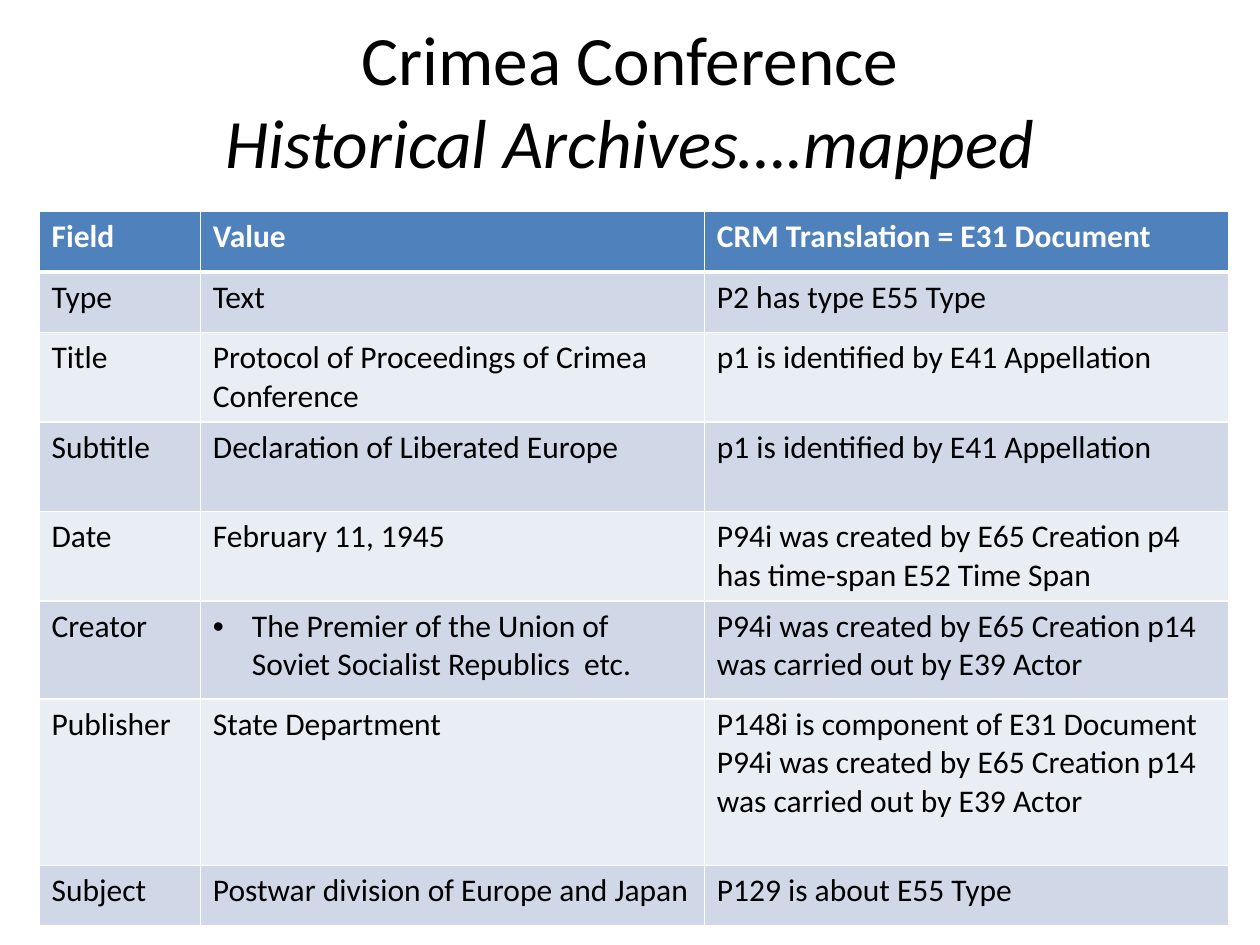
from typing import NamedTuple

from lxml import etree
from pptx import Presentation
from pptx.dml.color import RGBColor
from pptx.enum.text import MSO_ANCHOR, PP_ALIGN
from pptx.oxml.ns import qn
from pptx.util import Inches, Pt

CENTER = PP_ALIGN.CENTER
MIDDLE = MSO_ANCHOR.MIDDLE

BLACK = RGBColor(0x00, 0x00, 0x00)
WHITE = RGBColor(0xFF, 0xFF, 0xFF)
HEADER_BLUE = RGBColor(0x4F, 0x81, 0xBD)
BAND_DARK = RGBColor(0xD0, 0xD8, 0xE8)
BAND_LIGHT = RGBColor(0xE9, 0xED, 0xF4)

FONT = "Calibri"
BULLET_INDENT = Inches(0.31)
COLUMN_WIDTHS = (1.28, 4, 4.16)


class Mapping(NamedTuple):
    height: float
    field: str
    value: str
    translation: str
    bulleted: bool = False


MAPPINGS = (
    Mapping(0.48, "Field", "Value", "CRM Translation = E31 Document"),
    Mapping(0.48, "Type", "Text", "P2 has type E55 Type"),
    Mapping(0.71, "Title", "Protocol of Proceedings of Crimea Conference",
            "p1 is identified by E41 Appellation"),
    Mapping(0.71, "Subtitle", "Declaration of Liberated Europe",
            "p1 is identified by E41 Appellation"),
    Mapping(0.71, "Date", "February 11, 1945",
            "P94i was created by E65 Creation p4 has time-span E52 Time Span"),
    Mapping(0.78, "Creator",
            "The Premier of the Union of Soviet Socialist Republics  etc.",
            "P94i was created by E65 Creation p14 was carried out by E39 Actor",
            bulleted=True),
    Mapping(1.32, "Publisher", "State Department",
            "P148i is component of E31 Document P94i was created by "
            "E65 Creation p14 was carried out by E39 Actor"),
    Mapping(0.48, "Subject", "Postwar division of Europe and Japan",
            "P129 is about E55 Type"),
)


def style_run(r, size: float, color: RGBColor, bold: bool = False) -> None:
    r.font.name = FONT
    r.font.size = Pt(size)
    r.font.color.rgb = color
    r.font.bold = bold


def set_borders(cell, bottom_width: float) -> None:
    """Draw white cell edges, 1 pt except for the bottom one."""
    tc_pr = cell._tc.get_or_add_tcPr()
    widths = {"a:lnL": 1, "a:lnR": 1, "a:lnT": 1, "a:lnB": bottom_width}
    for position, (tag, width) in enumerate(widths.items()):
        ln = etree.Element(qn(tag), w=str(Pt(width)))
        fill = etree.SubElement(ln, qn("a:solidFill"))
        etree.SubElement(fill, qn("a:srgbClr"), val=str(WHITE))
        tc_pr.insert(position, ln)


def add_bullet(p) -> None:
    p_pr = p._p.get_or_add_pPr()
    p_pr.set("marL", str(BULLET_INDENT))
    p_pr.set("indent", str(-BULLET_INDENT))
    etree.SubElement(p_pr, qn("a:buFont"), typeface="Arial")
    etree.SubElement(p_pr, qn("a:buChar"), char="•")


def fill_cell(cell, text: str, row: int) -> None:
    header = row == 0
    cell.text_frame.text = text
    style_run(cell.text_frame.paragraphs[0].runs[0], 18,
              WHITE if header else BLACK, bold=header)
    cell.fill.solid()
    band = BAND_DARK if row % 2 else BAND_LIGHT
    cell.fill.fore_color.rgb = HEADER_BLUE if header else band
    set_borders(cell, 3 if header else 1)


def add_title(s) -> None:
    sp = s.shapes.add_textbox(Inches(0.5), Inches(0.16), Inches(9), Inches(1.25))
    tf = sp.text_frame
    tf.word_wrap = True
    tf.vertical_anchor = MIDDLE
    p = tf.paragraphs[0]
    p.text = "Crimea Conference\vHistorical Archives….mapped"
    p.alignment = CENTER
    for r in p.runs:
        style_run(r, 39.6, BLACK)
    p.runs[-1].font.italic = True


def add_mapping_table(s) -> None:
    height = sum(m.height for m in MAPPINGS)
    table = s.shapes.add_table(
        len(MAPPINGS), len(COLUMN_WIDTHS), Inches(0.31), Inches(1.68),
        Inches(sum(COLUMN_WIDTHS)), Inches(height)).table
    for column, width in zip(table.columns, COLUMN_WIDTHS):
        column.width = Inches(width)
    for row, m in enumerate(MAPPINGS):
        table.rows[row].height = Inches(m.height)
        for col, text in enumerate((m.field, m.value, m.translation)):
            fill_cell(table.cell(row, col), text, row)
        if m.bulleted:
            add_bullet(table.cell(row, 1).text_frame.paragraphs[0])


def main() -> None:
    prs = Presentation()
    prs.slide_width, prs.slide_height = Inches(10), Inches(7.5)
    s = prs.slides.add_slide(prs.slide_layouts[6])
    add_title(s)
    add_mapping_table(s)
    prs.save("out.pptx")


if __name__ == "__main__":
    main()
